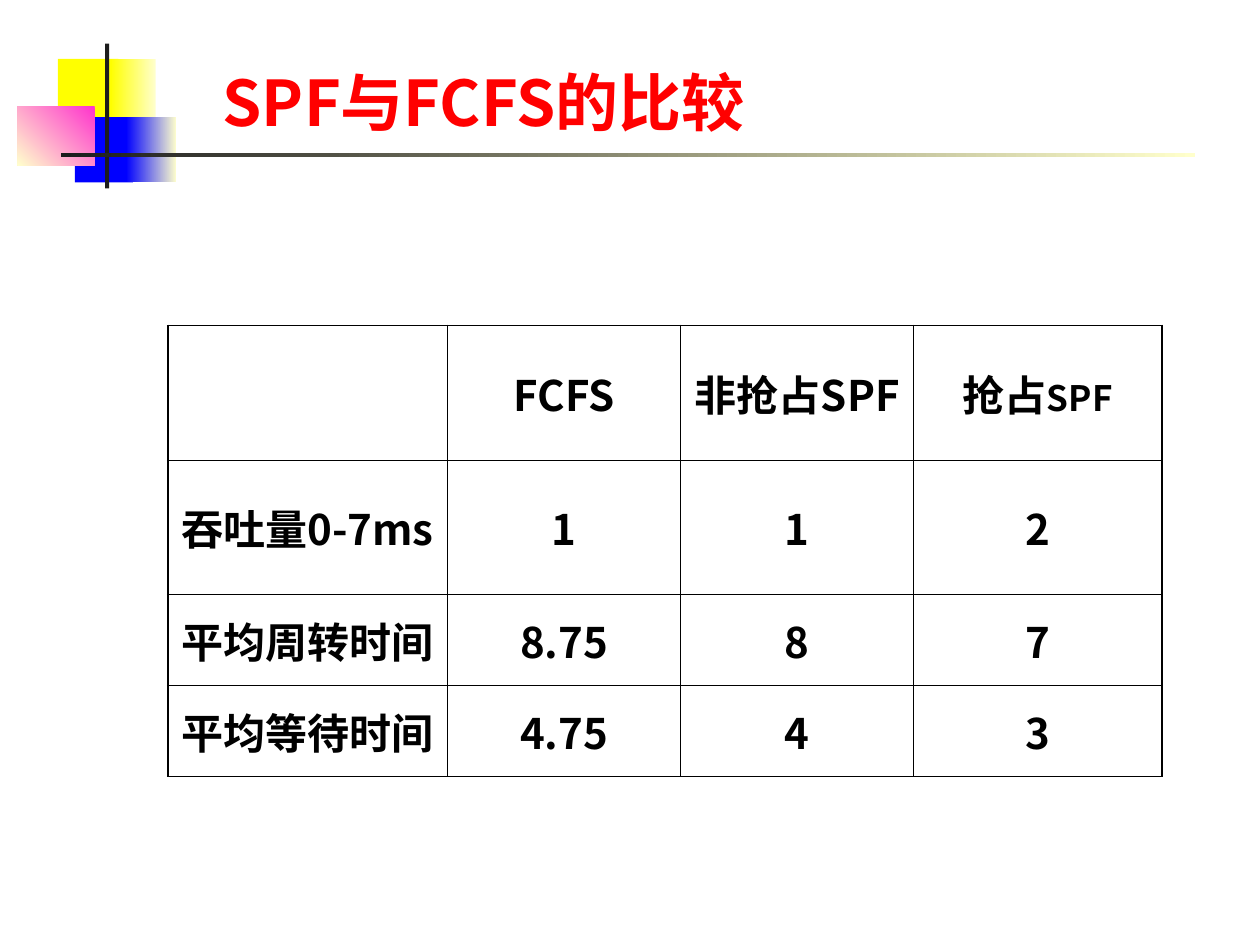
from lxml.etree import SubElement
from pptx import Presentation
from pptx.dml.color import RGBColor
from pptx.enum.shapes import MSO_SHAPE as Shape
from pptx.enum.text import MSO_ANCHOR as Anchor, PP_ALIGN as Align
from pptx.oxml.ns import qn
from pptx.util import Cm, Pt

FONT = "Noto Sans CJK SC"
BLACK, RED = "000000", "FF0000"
YELLOW, BLUE, PINK, CREAM, DARK = "FFFF00", "0000FF", "FF33CC", "FFFFCC", "1C1C1C"
THIN, THICK = 0.45, 1.08

TITLE = "SPF与FCFS的比较"
TITLE_BOX = (4.24, 0.39, 15.72, 2.54)

DECORATIONS = [
    ((1.17, 1.19, 1.22, 1.32), [YELLOW], 0),
    ((2.23, 1.19, 0.91, 1.32), [CREAM, YELLOW], 180),
    ((1.51, 2.36, 1.17, 1.32), [BLUE], 0),
    ((2.54, 2.36, 1.02, 1.32), [CREAM, BLUE], 180),
    ((0.35, 2.14, 1.56, 1.19), [PINK, CREAM], 225),
    ((2.12, 0.88, 0.08, 2.92), [DARK], 0),
    ((1.23, 3.09, 22.86, 0.08), [CREAM, DARK], 180),
]

TABLE_LEFT, TABLE_TOP = 3.38, 6.56
COLUMN_WIDTHS = [5.64, 4.7, 4.7, 5]
ROW_HEIGHTS = [2.72, 2.71, 1.83, 1.83]
ROWS = [
    [[], [("FCFS", 24)], [("非抢占SPF", 24)], [("抢占", 24), ("SPF", 20)]],
    [[("吞吐量0-7ms", 24)], [("1", 24)], [("1", 24)], [("2", 24)]],
    [[("平均周转时间", 24)], [("8.75", 24)], [("8", 24)], [("7", 24)]],
    [[("平均等待时间", 24)], [("4.75", 24)], [("4", 24)], [("3", 24)]],
]


def color(value):
    return RGBColor.from_string(value)


def add_run(paragraph, text, size, value):
    run = paragraph.add_run()
    run.text = text
    run.font.name = FONT
    run.font.size = Pt(size)
    run.font.bold = True
    run.font.color.rgb = color(value)
    SubElement(run.font._element, qn("a:ea"), typeface=FONT)


def add_decoration(slide, box, colors, angle):
    shape = slide.shapes.add_shape(Shape.RECTANGLE, *map(Cm, box))
    shape.shadow.inherit = False
    shape.line.fill.background()
    if len(colors) == 1:
        shape.fill.solid()
        shape.fill.fore_color.rgb = color(colors[0])
        return
    shape.fill.gradient()
    shape.fill.gradient_angle = angle
    for stop, value in zip(shape.fill.gradient_stops, colors):
        stop.color.rgb = color(value)


def add_title(slide):
    frame = slide.shapes.add_textbox(*map(Cm, TITLE_BOX)).text_frame
    frame.word_wrap = True
    frame.vertical_anchor = Anchor.BOTTOM
    add_run(frame.paragraphs[0], TITLE, 36, RED)


def set_borders(cell, outer_sides):
    properties = cell._tc.get_or_add_tcPr()
    for side in "LRTB":
        width = THICK if side in outer_sides else THIN
        line = SubElement(properties, qn(f"a:ln{side}"), w=str(Pt(width)))
        fill = SubElement(line, qn("a:solidFill"))
        SubElement(fill, qn("a:srgbClr"), val=BLACK)


def add_comparison_table(slide):
    row_count, column_count = len(ROWS), len(COLUMN_WIDTHS)
    table = slide.shapes.add_table(
        row_count, column_count, Cm(TABLE_LEFT), Cm(TABLE_TOP),
        Cm(sum(COLUMN_WIDTHS)), Cm(sum(ROW_HEIGHTS))).table
    table.first_row = table.horz_banding = False
    for column, width in zip(table.columns, COLUMN_WIDTHS):
        column.width = Cm(width)
    for row, height in zip(table.rows, ROW_HEIGHTS):
        row.height = Cm(height)
    for i, row in enumerate(ROWS):
        for j, runs in enumerate(row):
            cell = table.cell(i, j)
            edges = {"L": j == 0, "R": j == column_count - 1,
                     "T": i == 0, "B": i == row_count - 1}
            set_borders(cell, [side for side in edges if edges[side]])
            cell.fill.background()
            cell.vertical_anchor = Anchor.MIDDLE
            paragraph = cell.text_frame.paragraphs[0]
            paragraph.alignment = Align.CENTER
            for text, size in runs:
                add_run(paragraph, text, size, BLACK)


def main():
    presentation = Presentation()
    presentation.slide_width, presentation.slide_height = Cm(25.4), Cm(19.05)
    slide = presentation.slides.add_slide(presentation.slide_layouts[6])
    for box, colors, angle in DECORATIONS:
        add_decoration(slide, box, colors, angle)
    add_title(slide)
    add_comparison_table(slide)
    presentation.save("out.pptx")


if __name__ == "__main__":
    main()
